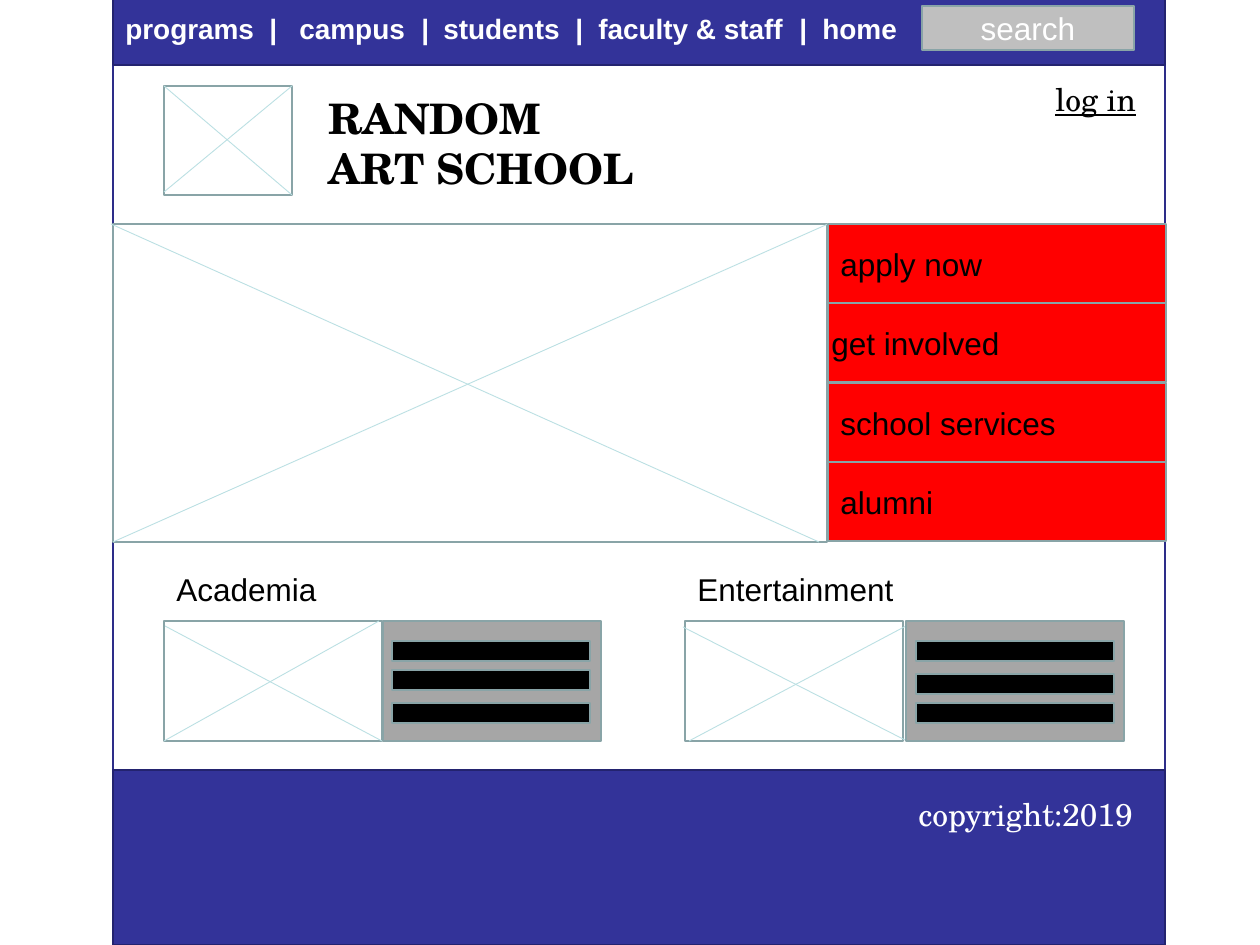
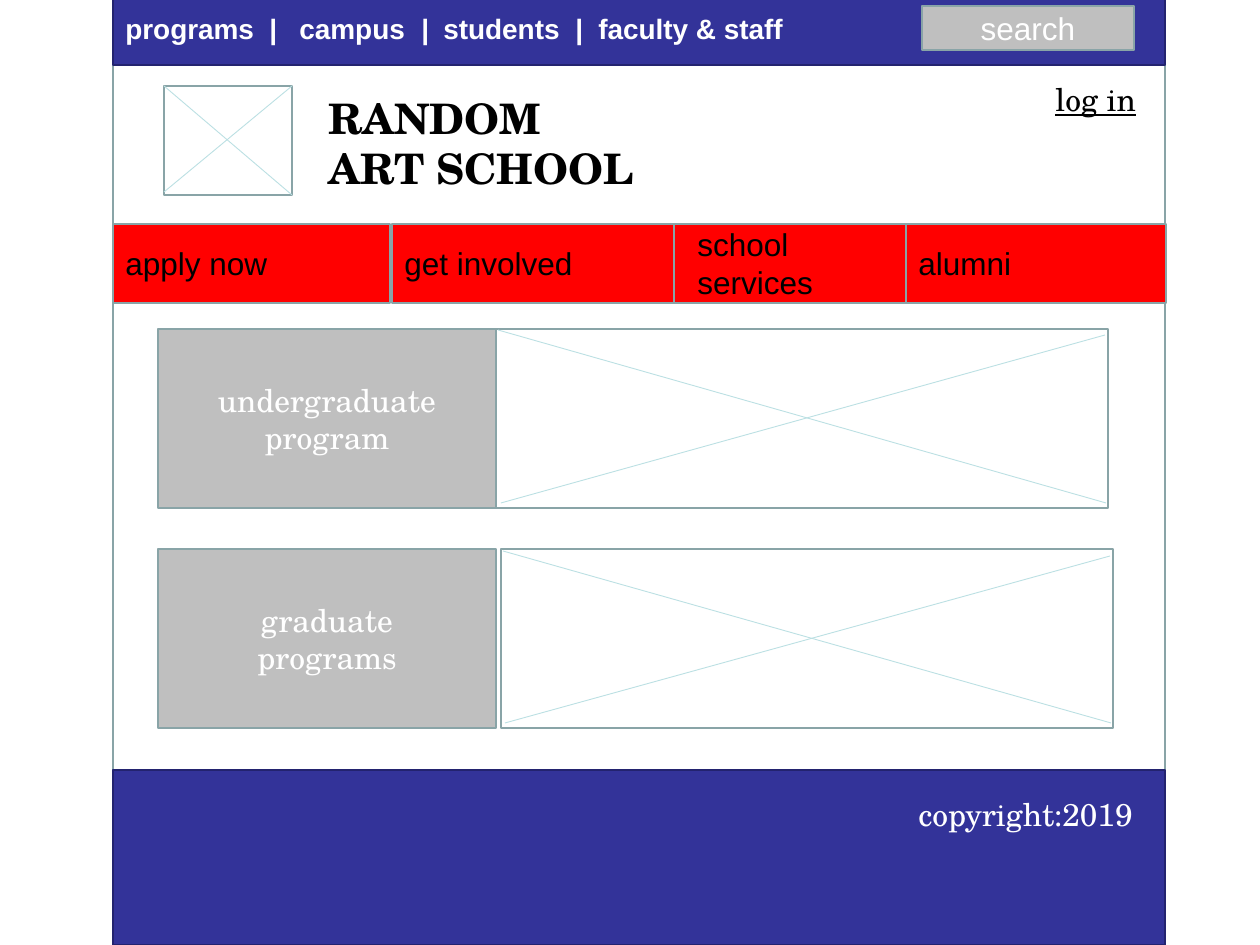
from lxml.etree import SubElement
from pptx import Presentation
from pptx.dml.color import RGBColor
from pptx.enum.shapes import MSO_CONNECTOR, MSO_SHAPE
from pptx.enum.text import MSO_ANCHOR as Anchor, MSO_AUTO_SIZE as AutoSize, PP_ALIGN as Align
from pptx.oxml.ns import qn
from pptx.util import Inches, Pt

PX = Inches(10) / 1260  # EMU per px
SANS, SERIF = "Arial", "TeX Gyre Schola"
COLORS = {
    "white": "FFFFFF", "black": "000000", "navy": "333399", "navy edge": "23236F",
    "page edge": "2D2D89", "red": "FF0000", "silver": "BFBFBF", "gray": "A6A6A6",
    "edge": "89A4A7", "cross": "BBE0E3",
}


def add_box(slide, rect, fill=None, line="edge"):
    """Add a rectangle, or a plain text box when it has no line."""
    lengths = [round(n * PX) for n in rect]
    if line is None:
        return slide.shapes.add_textbox(*lengths)
    box = slide.shapes.add_shape(MSO_SHAPE.RECTANGLE, *lengths)
    box.shadow.inherit = False
    box.line.color.rgb = RGBColor.from_string(COLORS[line])
    box.line.width = Pt(1)
    if fill:
        box.fill.solid()
        box.fill.fore_color.rgb = RGBColor.from_string(COLORS[fill])
    else:
        box.fill.background()
    return box


def write(shape, text, font=SANS, size=18, color="black", bold=False,
          underline=False, align=Align.LEFT, anchor=Anchor.TOP):
    frame = shape.text_frame
    frame.text = text
    frame.word_wrap = True
    frame.auto_size = AutoSize.NONE
    frame.vertical_anchor = anchor
    for paragraph in frame.paragraphs:
        paragraph.alignment = align
        for run in paragraph.runs:
            run.font.name = font
            run.font.size = Pt(size)
            run.font.bold = bold
            run.font.underline = underline
            run.font.color.rgb = RGBColor.from_string(COLORS[color])


presentation = Presentation()
presentation.slide_width = Inches(10)
presentation.slide_height = Inches(7.5)
title_only = presentation.slide_layouts[5]
home = presentation.slides.add_slide(title_only)
programs = presentation.slides.add_slide(title_only)

# Header, footer and page frame of both slides
nav_links = ["programs", "campus", "students", "faculty & staff", "home"]
nav_tabs = [144, 174, 296, 318, 450, 473, 674, 697]
for slide, link_count, page_fill, page_edge in [
    (home, 5, "white", "page edge"), (programs, 4, None, "edge"),
]:
    add_box(slide, (113, -3, 1052, 949), page_fill, page_edge)
    add_box(slide, (113, -3, 1052, 68), "navy", "navy edge")
    add_box(slide, (113, 770, 1052, 175), "navy", "navy edge")

    nav = add_box(slide, (113, 5, 1147, 47), line=None)
    write(nav, "\t|\t".join(nav_links[:link_count]), size=16, color="white", bold=True)
    properties = nav.text_frame.paragraphs[0]._p.get_or_add_pPr()
    tab_list = SubElement(properties, qn("a:tabLst"))
    for position in nav_tabs[:2 * (link_count - 1)]:
        SubElement(tab_list, qn("a:tab"), pos=str(round(position * PX)), algn="l")

    search = add_box(slide, (922, 6, 212, 44), "silver")
    write(search, "search", color="white", align=Align.CENTER, anchor=Anchor.MIDDLE)

    title = slide.shapes.title
    title.left, title.top, title.width, title.height = [
        round(n * PX) for n in (316, 86, 383, 113)]
    write(title, "RANDOM\nART SCHOOL", SERIF, 24, bold=True)
    title.element.getparent().append(title.element)  # in front of the page

    log_in = add_box(slide, (1043, 74, 146, 50), line=None)
    write(log_in, "log in", SERIF, underline=True)
    rights = add_box(slide, (906, 789, 248, 88), line=None)
    write(rights, "copyright:2019", SERIF, color="white")

# Crossed image frames: rectangle, then the two diagonals
logo = ((164, 86, 128, 109), (164, 86, 292, 195), (164, 192, 292, 86))
image_frames = [
    (home, *logo),
    (home, (113, 224, 714, 318), (111, 224, 819, 542), (113, 542, 828, 224)),
    (home, (164, 621, 218, 120), (165, 626, 382, 741), (379, 621, 164, 741)),
    (home, (685, 621, 218, 120), (683, 627, 907, 741), (906, 626, 689, 741)),
    (programs, *logo),
    (programs, (496, 329, 612, 179), (498, 330, 1106, 503), (1105, 335, 501, 503)),
    (programs, (501, 549, 612, 179), (503, 551, 1111, 723), (1110, 556, 505, 723)),
]
for slide, rect, *diagonals in image_frames:
    add_box(slide, rect)
    for ends in diagonals:
        diagonal = slide.shapes.add_connector(
            MSO_CONNECTOR.STRAIGHT, *[round(n * PX) for n in ends])
        diagonal.line.color.rgb = RGBColor.from_string(COLORS["cross"])
        diagonal.line.width = Pt(0.5)
        SubElement(diagonal.element.spPr, qn("a:effectLst"))

# Home: stacked menu
menu = ["apply now", "get involved", "school services", "alumni"]
for row, (text, label_left) in enumerate(zip(menu, (828, 819, 828, 828))):
    top = 224 + row * 159 // 2
    add_box(home, (828, top, 338, 79), "red")
    write(add_box(home, (label_left, top + 15, 340, 50), line=None), text)

# Home: news blocks with their text bars
for heading, left, card_left, bar_left, bar_tops in [
    ("Academia", 164, 383, 392, (641, 670, 703)),
    ("Entertainment", 685, 906, 916, (641, 674, 703)),
]:
    write(add_box(home, (left, 564, 331, 50), line=None), heading)
    add_box(home, (card_left, 621, 218, 120), "gray")
    for top in bar_tops:
        add_box(home, (bar_left, top, 198, 20), "black")

# Programs: menu in one row
menu_cells = [
    (113, 277, (113, 238, 203, 50)), (392, 282, (392, 238, 217, 50)),
    (674, 232, (685, 219, 156, 88)), (906, 260, (906, 238, 149, 50)),
]
for text, (left, width, label_rect) in zip(menu, menu_cells):
    add_box(programs, (left, 224, width, 79), "red")
    write(add_box(programs, label_rect, line=None), text)

# Programs: program tiles
for text, top in [("undergraduate\nprogram", 329), ("graduate\nprograms", 549)]:
    tile = add_box(programs, (158, top, 338, 179), "silver")
    write(tile, text, SERIF, color="white", align=Align.CENTER, anchor=Anchor.MIDDLE)

presentation.save("out.pptx")
